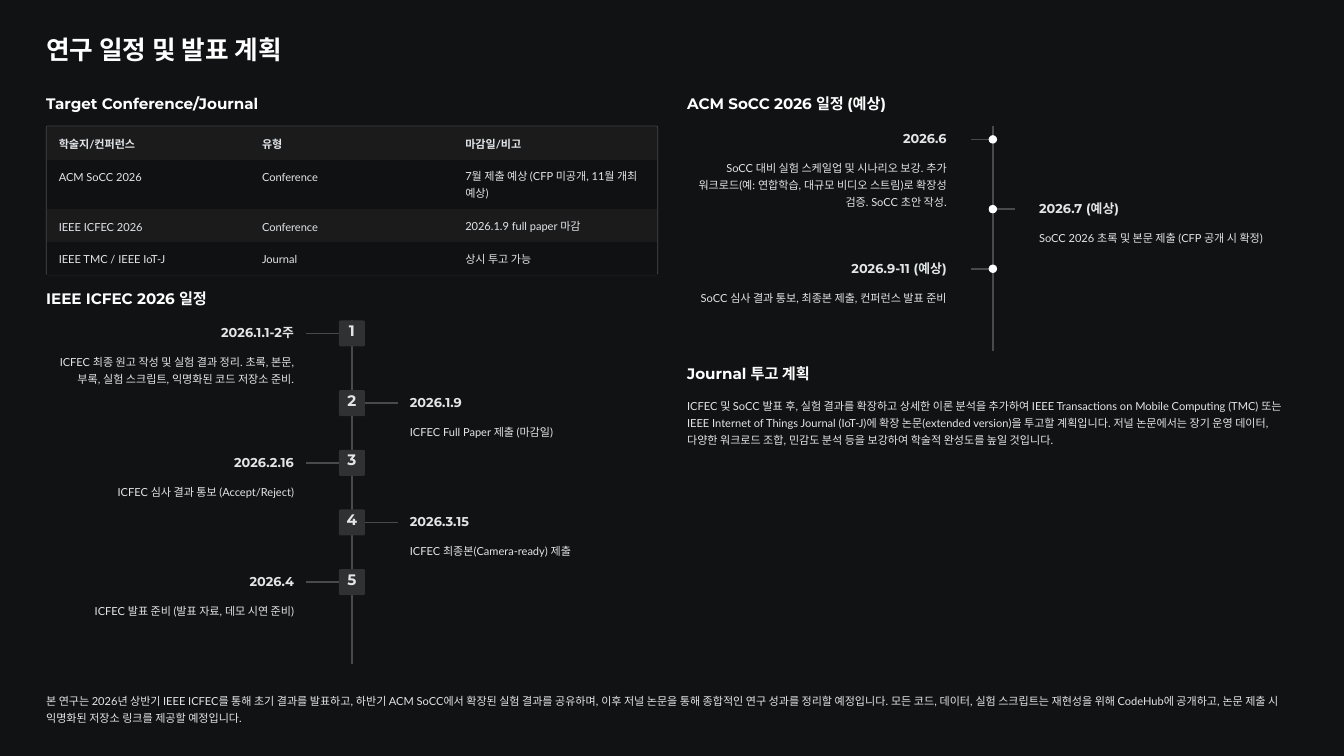
"""Build the research schedule and publication plan slide."""
from lxml import etree
from pptx import Presentation
from pptx.dml.color import RGBColor
from pptx.enum.shapes import MSO_CONNECTOR, MSO_SHAPE
from pptx.enum.text import MSO_ANCHOR, PP_ALIGN
from pptx.oxml.ns import qn
from pptx.util import Inches, Pt

STRAIGHT = MSO_CONNECTOR.STRAIGHT
OVAL, ROUNDED = MSO_SHAPE.OVAL, MSO_SHAPE.ROUNDED_RECTANGLE
TOP = MSO_ANCHOR.TOP
LEFT, CENTER, RIGHT = PP_ALIGN.LEFT, PP_ALIGN.CENTER, PP_ALIGN.RIGHT
PLAIN_TABLE = "{2D5ABB26-0587-4C30-8999-92F81FD0307C}"

BACKGROUND, WHITE, BODY = "111213", "FFFFFF", "E2E6E9"
RULE, BADGE = "494A4B", "303132"
BANDS = ("1B1B1C", "101112")

# Style: font, size, line spacing, colour, bold
STYLES = {
    "title": ("Montserrat", 22, 28, WHITE, True),
    "heading": ("Montserrat", 13, 16.5, WHITE, True),
    "badge": ("Montserrat", 13, 13, BODY, True),
    "date": ("Montserrat", 11, 14, BODY, True),
    "body": ("Lato", 9.5, 14.5, BODY, False),
    "header": ("Lato", 9.5, 14.5, BODY, True),
}

WIDTH, HEIGHT = 16, 9
MARGIN, RIGHT_COLUMN, COLUMN_WIDTH = 0.55, 8.18, 7.28
LINE_HEIGHT = 0.205
FIRST_GAP, EVENT_GAP = 0.83, 0.71

TITLE = "연구 일정 및 발표 계획"
HEADINGS = [
    ("Target Conference/Journal", MARGIN, 1.11),
    ("IEEE ICFEC 2026 일정", MARGIN, 3.43),
    ("ACM SoCC 2026 일정 (예상)", RIGHT_COLUMN, 1.11),
    ("Journal 투고 계획", RIGHT_COLUMN, 4.33),
]
VENUES = [
    ("학술지/컨퍼런스", "유형", "마감일/비고"),
    ("ACM SoCC 2026", "Conference", "7월 제출 예상 (CFP 미공개, 11월 개최 예상)"),
    ("IEEE ICFEC 2026", "Conference", "2026.1.9 full paper 마감"),
    ("IEEE TMC / IEEE IoT-J", "Journal", "상시 투고 가능"),
]
VENUE_ROWS = (0.39, 0.59, 0.39, 0.39)

# Event: date, description, number of lines
ICFEC_EVENTS = [
    ("2026.1.1-2주", "ICFEC 최종 원고 작성 및 실험 결과 정리. 초록, 본문, 부록, 실험 스크립트, "
     "익명화된 코드 저장소 준비.", 3),
    ("2026.1.9", "ICFEC Full Paper 제출 (마감일)", 1),
    ("2026.2.16", "ICFEC 심사 결과 통보 (Accept/Reject)", 1),
    ("2026.3.15", "ICFEC 최종본(Camera-ready) 제출", 1),
    ("2026.4", "ICFEC 발표 준비 (발표 자료, 데모 시연 준비)", 1),
]
SOCC_EVENTS = [
    ("2026.6", "SoCC 대비 실험 스케일업 및 시나리오 보강. 추가 워크로드(예: 연합학습, "
     "대규모 비디오 스트림)로 확장성 검증. SoCC 초안 작성.", 3),
    ("2026.7 (예상)", "SoCC 2026 초록 및 본문 제출 (CFP 공개 시 확정)", 1),
    ("2026.9-11 (예상)", "SoCC 심사 결과 통보, 최종본 제출, 컨퍼런스 발표 준비", 1),
]
JOURNAL_PLAN = (
    "ICFEC 및 SoCC 발표 후, 실험 결과를 확장하고 상세한 이론 분석을 추가하여 "
    "IEEE Transactions on Mobile Computing (TMC) 또는 IEEE Internet of Things Journal "
    "(IoT-J)에 확장 논문(extended version)을 투고할 계획입니다. 저널 논문에서는 장기 운영 "
    "데이터, 다양한 워크로드 조합, 민감도 분석 등을 보강하여 학술적 완성도를 높일 것입니다."
)
SUMMARY = (
    "본 연구는 2026년 상반기 IEEE ICFEC를 통해 초기 결과를 발표하고, 하반기 ACM SoCC에서 "
    "확장된 실험 결과를 공유하며, 이후 저널 논문을 통해 종합적인 연구 성과를 정리할 예정입니다. "
    "모든 코드, 데이터, 실험 스크립트는 재현성을 위해 CodeHub에 공개하고, 논문 제출 시 익명화된 "
    "저장소 링크를 제공할 예정입니다."
)


def color(value):
    return RGBColor.from_string(value)


def write(frame, text, style, align=LEFT):
    name, size, spacing, ink, bold = STYLES[style]
    paragraph = frame.paragraphs[0]
    paragraph.text = text
    paragraph.alignment = align
    paragraph.line_spacing = Pt(spacing)
    font = paragraph.font
    font.name, font.size, font.bold = name, Pt(size), bold
    font.color.rgb = color(ink)


def set_margins(target, horizontal=0, vertical=0):
    target.margin_left = target.margin_right = Inches(horizontal)
    target.margin_top = target.margin_bottom = Inches(vertical)


def add_text(slide, text, style, left, top, width, lines=1, align=LEFT):
    box = slide.shapes.add_textbox(*map(Inches, (left, top, width, lines * LINE_HEIGHT)))
    frame = box.text_frame
    set_margins(frame)
    frame.word_wrap = lines > 1
    write(frame, text, style, align)


def add_shape(slide, kind, left, top, width, height, fill=None, corner=None):
    shape = slide.shapes.add_shape(kind, *map(Inches, (left, top, width, height)))
    shape.shadow.inherit = False
    if corner is not None:
        shape.adjustments[0] = corner
    if fill:
        shape.fill.solid()
        shape.fill.fore_color.rgb = color(fill)
        shape.line.fill.background()
    else:
        shape.fill.background()
        shape.line.color.rgb = color(RULE)
        shape.line.width = Pt(0.6)
    return shape


def add_rule(slide, *ends):
    rule = slide.shapes.add_connector(STRAIGHT, *map(Inches, ends))
    rule.line.color.rgb = color(RULE)
    rule.line.width = Pt(1.5)
    properties = rule.element.find(qn("p:spPr"))
    etree.SubElement(properties, qn("a:effectLst"))


def add_venues(slide, left, top):
    add_shape(slide, ROUNDED, left, top, COLUMN_WIDTH, sum(VENUE_ROWS) + 0.01, corner=0.012)
    graphic = slide.shapes.add_table(
        len(VENUES), len(VENUES[0]),
        *map(Inches, (left + 0.01, top + 0.01, COLUMN_WIDTH - 0.02, sum(VENUE_ROWS))))
    table = graphic.table
    table.first_row = table.horz_banding = False
    next(graphic.element.iter(qn("a:tableStyleId"))).text = PLAIN_TABLE
    for index, (venue, height) in enumerate(zip(VENUES, VENUE_ROWS)):
        table.rows[index].height = Inches(height)
        for cell, text in zip(table.rows[index].cells, venue):
            set_margins(cell, 0.14, 0.09)
            cell.vertical_anchor = TOP
            cell.fill.solid()
            cell.fill.fore_color.rgb = color(BANDS[index % 2])
            write(cell.text_frame, text, "body" if index else "header")


def add_timeline(slide, events, axis, top, length, gap, stub, text_width, numbered):
    add_rule(slide, axis, top, axis, top + length)
    for index, (date, description, lines) in enumerate(events):
        middle = top + 0.16 + (FIRST_GAP + (index - 1) * EVENT_GAP if index else 0)
        side, align = (1, LEFT) if index % 2 else (-1, RIGHT)
        add_rule(slide, axis, middle, axis + side * stub, middle)
        size = 0.31 if numbered else 0.1
        place = (axis - size / 2, middle - size / 2, size, size)
        if numbered:
            badge = add_shape(slide, ROUNDED, *place, BADGE, 0.067)
            set_margins(badge.text_frame)
            badge.text_frame.margin_top = Inches(0.04)
            badge.text_frame.vertical_anchor = TOP
            write(badge.text_frame, str(index + 1), "badge", CENTER)
        else:
            add_shape(slide, OVAL, *place, WHITE)
        left = axis + gap if side > 0 else axis - gap - text_width
        add_text(slide, date, "date", left, middle - 0.11, text_width, align=align)
        add_text(slide, description, "body", left, middle + 0.22, text_width, lines, align)


def main():
    presentation = Presentation()
    presentation.slide_width, presentation.slide_height = Inches(WIDTH), Inches(HEIGHT)
    slide = presentation.slides.add_slide(presentation.slide_layouts[6])
    slide.background.fill.solid()
    slide.background.fill.fore_color.rgb = color(BACKGROUND)
    add_text(slide, TITLE, "title", MARGIN, 0.38, 3.12)
    for text, left, top in HEADINGS:
        add_text(slide, text, "heading", left, top, 2.62)
    add_venues(slide, MARGIN, 1.5)
    add_timeline(slide, ICFEC_EVENTS, MARGIN + COLUMN_WIDTH / 2, 3.81, 4.1,
                 0.69, 0.55, 2.95, True)
    add_timeline(slide, SOCC_EVENTS, RIGHT_COLUMN + COLUMN_WIDTH / 2, 1.5, 2.68,
                 0.55, 0.26, 3.09, False)
    add_text(slide, JOURNAL_PLAN, "body", RIGHT_COLUMN, 4.71, COLUMN_WIDTH, 3)
    add_text(slide, SUMMARY, "body", MARGIN, 8.22, WIDTH - 2 * MARGIN, 2)
    presentation.save("out.pptx")


if __name__ == "__main__":
    main()
